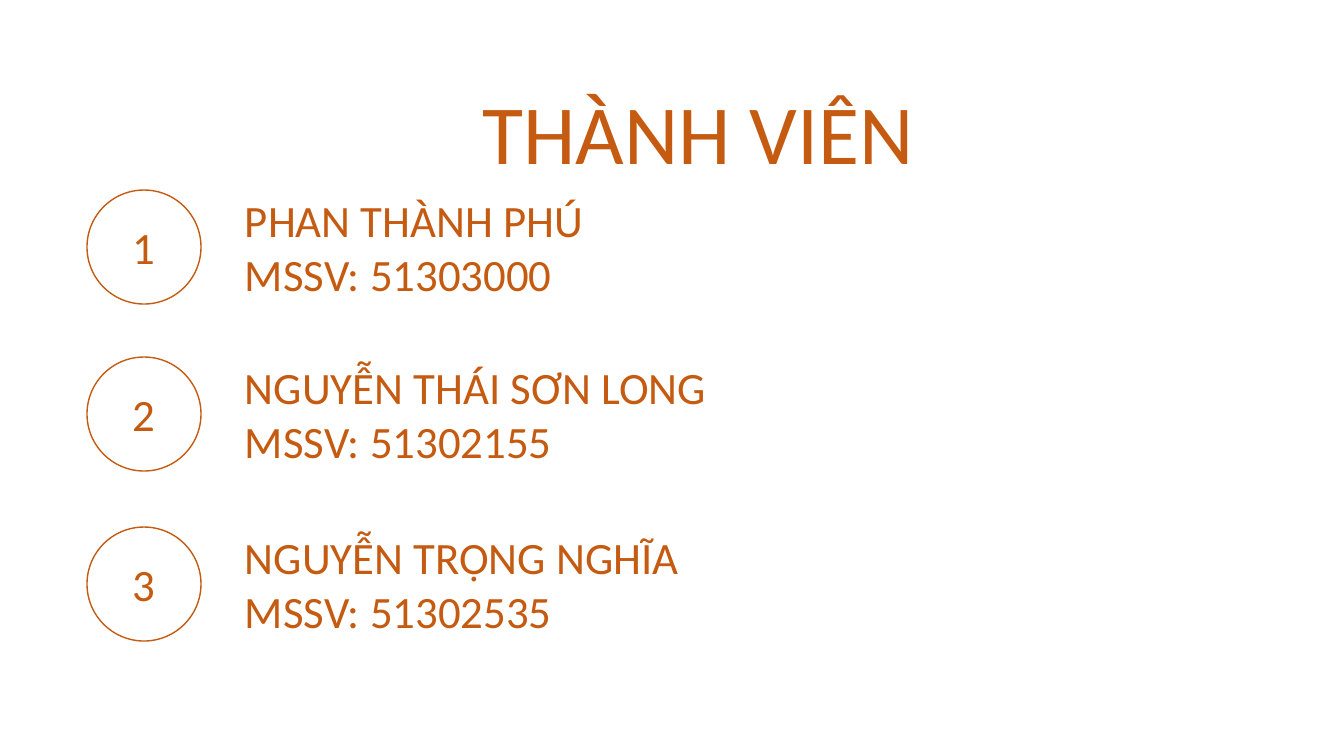
"""Build the slide that lists the three team members."""
from pptx import Presentation
from pptx.dml.color import RGBColor
from pptx.enum.shapes import MSO_SHAPE
from pptx.enum.text import MSO_ANCHOR, PP_ALIGN
from pptx.util import Pt

PIXEL = 914400 / 100.8
ORANGE = "C55A11"
MEMBERS = [
    ("PHAN THÀNH PHÚ", "MSSV: 51303000", 190, 462),
    ("NGUYỄN THÁI SƠN LONG", "MSSV: 51302155", 357, 517),
    ("NGUYỄN TRỌNG NGHĨA", "MSSV: 51302535", 527, 517),
]


def place(*lengths):
    return [round(length * PIXEL) for length in lengths]


def write(shape, lines, size, align, anchor):
    frame = shape.text_frame
    frame.word_wrap = True
    frame.vertical_anchor = anchor
    for index, line in enumerate(lines):
        para = frame.add_paragraph() if index else frame.paragraphs[0]
        para.alignment = align
        span = para.add_run()
        span.text = line
        span.font.color.rgb = RGBColor.from_string(ORANGE)
        for name, value in {"name": "Calibri", "size": Pt(size)}.items():
            setattr(span.font, name, value)


deck = Presentation()
deck.slide_width, deck.slide_height = place(1344, 756)
page = deck.slides.add_slide(deck.slide_layouts[6])

title = page.shapes.add_textbox(*place(446, 76, 504, 112))
write(title, ["THÀNH VIÊN"], 60, PP_ALIGN.CENTER, MSO_ANCHOR.TOP)

for number, (member, student_code, top, width) in enumerate(MEMBERS, 1):
    circle = page.shapes.add_shape(MSO_SHAPE.OVAL, *place(87, top, 114, 114))
    circle.shadow.inherit = False
    circle.fill.background()
    circle.line.color.rgb = RGBColor.from_string(ORANGE)
    circle.line.width = Pt(1)
    write(circle, [str(number)], 32, PP_ALIGN.CENTER, MSO_ANCHOR.MIDDLE)

    box = page.shapes.add_textbox(*place(235, top - 2, width, 119))
    write(box, [member, student_code], 32, PP_ALIGN.LEFT, MSO_ANCHOR.TOP)

deck.save("out.pptx")
